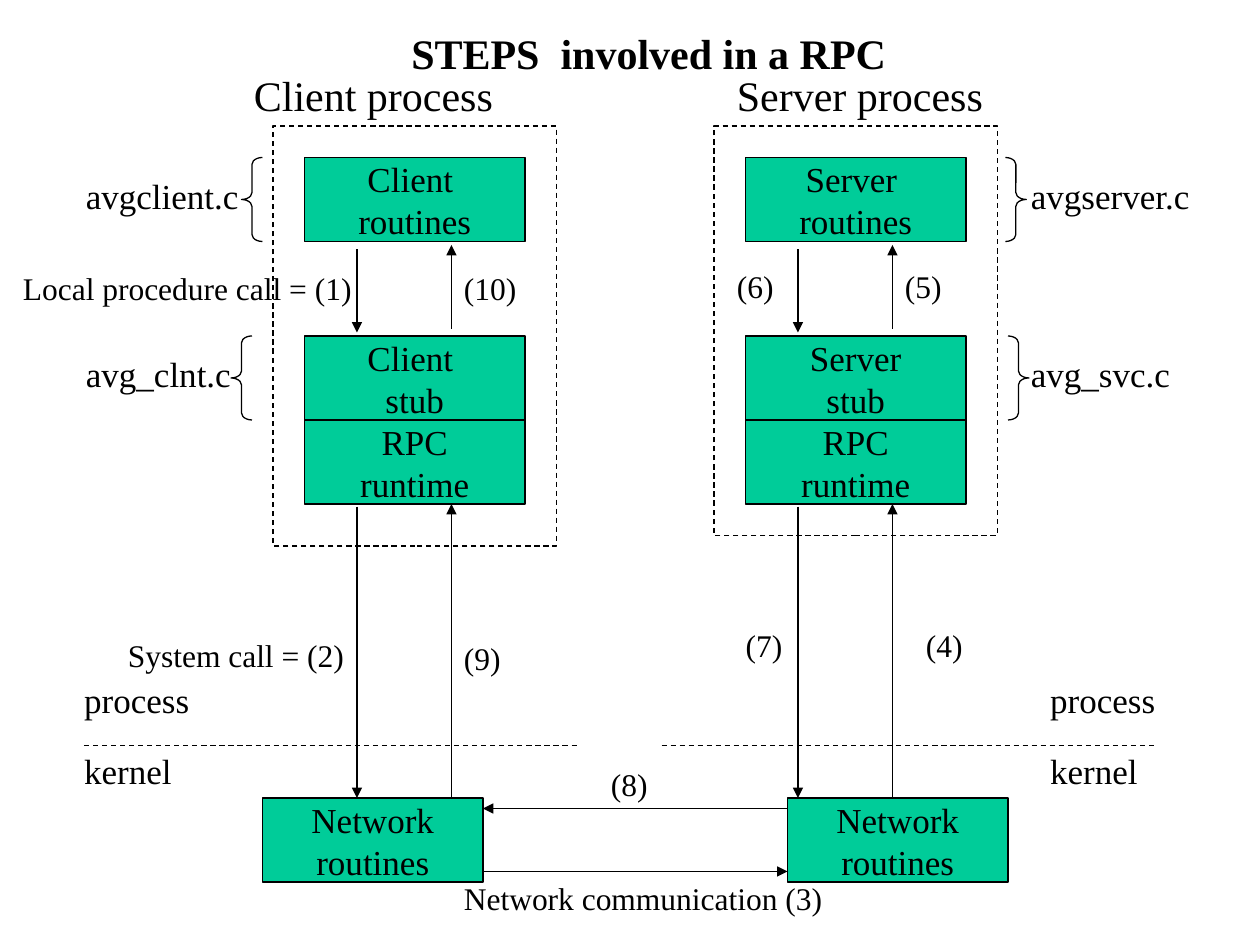
from lxml import etree
from pptx import Presentation
from pptx.dml.color import RGBColor
from pptx.enum import dml, shapes, text
from pptx.oxml.ns import qn
from pptx.util import Pt

BLACK = RGBColor(0x00, 0x00, 0x00)
GREEN = RGBColor(0x00, 0xCC, 0x99)
FONT = "Times New Roman"
DASH = dml.MSO_LINE.DASH

BOX_W, BOX_H = 126, 48
STACK_TOPS = (90, 192, 240)
NETWORK_TOP = 456
BOUNDARY_Y = 426
DOWN_X, UP_X = 30, 84  # arrow positions from the left edge of a stack

# One dict per side; "boundary" is the dashed line between process and kernel
SIDES = [
    dict(left=174, frame_h=240, network_left=150, boundary=(48, 330),
         boxes=[("Client ", "routines"), ("Client ", "stub"), ("RPC", "runtime")]),
    dict(left=426, frame_h=234, network_left=450, boundary=(378, 660),
         boxes=[("Server ", "routines"), ("Server", "stub"), ("RPC", "runtime")]),
]
# Top and bottom y of the arrows between stack parts: (down arrow, up arrow)
ARROW_SPANS = [((142.5, 190), (188, 140)), ((289.5, 456), (456, 288))]
NETWORK_ARROWS = [((276, 498), (450, 498)), ((450, 462), (276, 462))]

LEFT_BRACE = shapes.MSO_SHAPE.LEFT_BRACE
RIGHT_BRACE = shapes.MSO_SHAPE.RIGHT_BRACE
BRACES = [(LEFT_BRACE, 138, 90), (LEFT_BRACE, 132, 192),
          (RIGHT_BRACE, 574.5, 90), (RIGHT_BRACE, 576, 192)]

# Font size -> (text, left, top, width)
LABELS = {
    24: [("Client process", 138, 36, 162), ("Server process", 414, 36, 162)],
    20: [("process", 41, 384, 91), ("kernel", 41, 425, 91),
         ("process", 593, 384, 91), ("kernel", 593, 425, 91),
         ("avgclient.c", 42, 96, 102), ("avgserver.c", 582, 96, 120),
         ("avg_clnt.c", 42, 198, 102), ("avg_svc.c", 582, 198, 108)],
    18: [("Local procedure call = (1)", 6, 150, 204),
         ("System call = (2)", 66, 360, 144),
         ("Network communication (3)", 258, 499, 222),
         ("(4)", 522, 354, 48), ("(5)", 510, 149, 48), ("(6)", 414, 149, 48),
         ("(7)", 419, 354, 48), ("(8)", 342, 433.5, 48),
         ("(9)", 258, 361.5, 48), ("(10)", 258, 150, 48)],
}

prs = Presentation()
prs.slide_width, prs.slide_height = Pt(720), Pt(540)
s = prs.slides.add_slide(prs.slide_layouts[6])


def write(tf, *lines, size=20, bold=False, align=text.PP_ALIGN.LEFT,
          anchor=text.MSO_ANCHOR.TOP, wrap=True):
    """Fill a text frame with one paragraph for each line."""
    tf.word_wrap, tf.vertical_anchor = wrap, anchor
    for i, line in enumerate(lines):
        p = tf.add_paragraph() if i else tf.paragraphs[0]
        p.alignment = align
        r = p.add_run()
        r.text = line
        r.font.name, r.font.size, r.font.bold = FONT, Pt(size), bold
        r.font.color.rgb = BLACK


def add_label(line, left, top, width, size, bold=False):
    height = round(size * 1.17 + 8)
    sp = s.shapes.add_textbox(Pt(left), Pt(top), Pt(width), Pt(height))
    write(sp.text_frame, line, size=size, bold=bold)


def add_outline(kind, left, top, width, height, fill=None, dash=None):
    sp = s.shapes.add_shape(kind, Pt(left), Pt(top), Pt(width), Pt(height))
    sp.shadow.inherit = False
    if fill is None:
        sp.fill.background()
    else:
        sp.fill.solid()
        sp.fill.fore_color.rgb = fill
    style_line(sp.line, dash)
    return sp


def style_line(line, dash=None):
    line.color.rgb, line.width = BLACK, Pt(0.75)
    if dash is not None:
        line.dash_style = dash


def add_box(lines, left, top):
    sp = add_outline(shapes.MSO_SHAPE.RECTANGLE, left, top, BOX_W, BOX_H, fill=GREEN)
    write(sp.text_frame, *lines, align=text.PP_ALIGN.CENTER,
          anchor=text.MSO_ANCHOR.MIDDLE, wrap=False)


def add_line(start, end, arrow=True, dash=None):
    c = s.shapes.add_connector(shapes.MSO_CONNECTOR.STRAIGHT,
                               *(Pt(v) for v in (*start, *end)))
    style_line(c.line, dash)
    sp_pr = c.line._get_or_add_ln().getparent()
    if arrow:
        etree.SubElement(sp_pr.find(qn("a:ln")), qn("a:tailEnd"), type="triangle")
    etree.SubElement(sp_pr, qn("a:effectLst"))


for side in SIDES:
    left = side["left"]
    for lines, top in zip(side["boxes"], STACK_TOPS):
        add_box(lines, left, top)
    add_outline(shapes.MSO_SHAPE.RECTANGLE, left - 18, 72, 162, side["frame_h"], dash=DASH)
    add_box(("Network", "routines"), side["network_left"], NETWORK_TOP)
    x1, x2 = side["boundary"]
    add_line((x1, BOUNDARY_Y), (x2, BOUNDARY_Y), arrow=False, dash=DASH)
    for spans in ARROW_SPANS:
        for x, (y1, y2) in zip((left + DOWN_X, left + UP_X), spans):
            add_line((x, y1), (x, y2))

for start, end in NETWORK_ARROWS:
    add_line(start, end)

for kind, left, top in BRACES:
    brace = add_outline(kind, left, top, 12, BOX_H)
    brace.adjustments[0] = 0.33

for size, labels in LABELS.items():
    for label in labels:
        add_label(*label, size=size)
add_label("STEPS  involved in a RPC", 228, 12, 294, size=24, bold=True)

prs.save("out.pptx")
